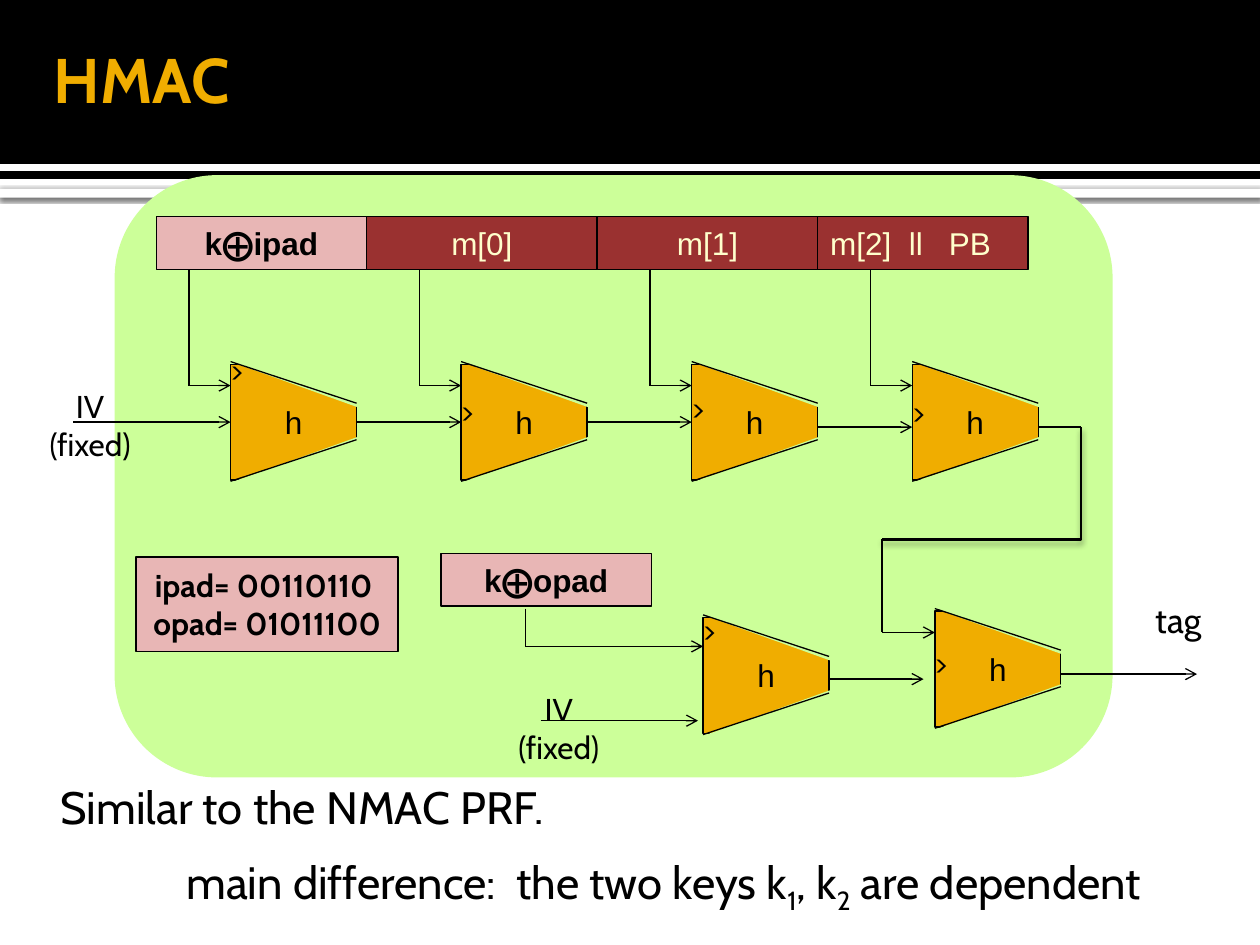
from lxml import etree
from pptx import Presentation
from pptx.dml.color import RGBColor
from pptx.enum.shapes import MSO_CONNECTOR as Link, MSO_SHAPE as Shape
from pptx.enum.text import MSO_ANCHOR as Anchor, PP_ALIGN as Align
from pptx.oxml.ns import qn
from pptx.util import Inches, Pt

BLACK, WHITE = "000000", "FFFFFF"
GOLD, GREEN, RED, PINK, CREAM = "F0AD00", "CCFF99", "9A3130", "E8B6B5", "FFFFCC"
LABEL = dict(name="Arial", size=Pt(18), bold=False)
KEY_LABEL = dict(LABEL, bold=True)
NOTE = dict(name="Cabin", size=Pt(18))
BODY = dict(name="Cabin", size=Pt(25.9))


def rgb(color):
    return RGBColor.from_string(color)


def set_effects(shape, shadow=None):
    """Replace theme effects; shadow is (alpha %, blur pt, distance pt), cast downwards."""
    effects = etree.SubElement(shape._element.spPr, qn("a:effectLst"))
    if shadow:
        alpha, blur, distance = shadow
        outer = etree.SubElement(effects, qn("a:outerShdw"), blurRad=str(Pt(blur)),
                                 dist=str(Pt(distance)), dir="5400000", rotWithShape="0")
        tint = etree.SubElement(outer, qn("a:srgbClr"), val=BLACK)
        etree.SubElement(tint, qn("a:alpha"), val=str(alpha * 1000))


def style_run(run, style, color=BLACK):
    for key, value in style.items():
        setattr(run.font, key, value)
    run.font.color.rgb = rgb(color)


def write(frame, lines, style, color=BLACK, align=Align.CENTER, **frame_format):
    for key, value in {"word_wrap": False, **frame_format}.items():
        setattr(frame, key, value)
    for index, line in enumerate(lines):
        paragraph = frame.paragraphs[0] if index == 0 else frame.add_paragraph()
        paragraph.alignment = align
        run = paragraph.add_run()
        run.text = line
        style_run(run, style, color)


def add_shape(slide, kind, box, fill, outline=None, shadow=None):
    shape = slide.shapes.add_shape(kind, *map(Inches, box))
    shape.fill.solid()
    shape.fill.fore_color.rgb = rgb(fill)
    if outline:
        shape.line.color.rgb = rgb(outline)
        shape.line.width = Pt(0.75)
    else:
        shape.line.fill.background()
    if shadow:
        set_effects(shape, shadow)
    else:
        shape.shadow.inherit = False
    return shape


def add_block(slide, box, fill, lines, style, color=BLACK, align=Align.CENTER):
    block = add_shape(slide, Shape.RECTANGLE, box, fill, BLACK)
    write(block.text_frame, lines, style, color, align, vertical_anchor=Anchor.MIDDLE)


def add_text(slide, box, lines, style, color=BLACK, align=Align.LEFT, **frame_format):
    text = slide.shapes.add_textbox(*map(Inches, box))
    write(text.text_frame, lines, style, color, align, **frame_format)
    return text.text_frame


def add_line(slide, start, end, arrow=False, color=BLACK, width=0.75,
             kind=Link.STRAIGHT, shadow=None):
    line = slide.shapes.add_connector(kind, *map(Inches, (*start, *end)))
    line.line.color.rgb = rgb(color)
    line.line.width = Pt(width)
    if arrow:
        etree.SubElement(line.line._get_or_add_ln(), qn("a:tailEnd"), type="arrow")
    set_effects(line, shadow)
    return line


def add_feed(slide, start, corner_y, end_x):
    """Line down from start, then an arrow to the right."""
    corner = (start[0], corner_y)
    add_line(slide, start, corner)
    add_line(slide, corner, (end_x, corner_y), arrow=True)


def add_hash(slide, x, y, mark_offset):
    """Compression function h: a square narrowed to the right by two wedges."""
    add_block(slide, (x, y, 1, 0.92), GOLD, ["h"], LABEL)
    for wedge_y, flips, edge in ((y - 0.02, ("flipH", "flipV"), (y - 0.02, y + 0.31)),
                                 (y + 0.52, ("flipH",), (y + 0.93, y + 0.6))):
        wedge = add_shape(slide, Shape.RIGHT_TRIANGLE, (x, wedge_y, 1.17, 0.42), GREEN)
        for flip in flips:
            wedge._element.spPr.xfrm.set(flip, "1")
        add_line(slide, (x, edge[0]), (x + 1, edge[1]))
    add_text(slide, (x - 0.1, y + mark_offset, 0.33, 0.4), [">"], NOTE)


def add_iv(slide, x, y, arrow_start, arrow_end):
    add_line(slide, arrow_start, arrow_end, arrow=True)
    add_text(slide, (x, y, 0.87, 0.71), ["IV", "(fixed)"], NOTE, align=Align.CENTER)


def add_header(slide):
    add_shape(slide, Shape.RECTANGLE, (0, 1.5, 10, 0.07), WHITE, shadow=(60, 2.5, 0.8))
    add_shape(slide, Shape.RECTANGLE, (0, 0, 10, 1.42), BLACK)
    add_line(slide, (0, 1.33), (10, 1.33), color=WHITE, width=4)
    add_text(slide, (0.33, 0.08, 8.25, 1.08), ["HMAC"],
             dict(name="Cabin", size=Pt(36), bold=True), GOLD,
             word_wrap=True, vertical_anchor=Anchor.MIDDLE, margin_right=Inches(0.05))


def add_remarks(slide):
    frame = add_text(slide, (0.42, 6.08, 9.25, 1.42), ["Similar to the NMAC PRF."], BODY,
                     word_wrap=True, margin_left=Inches(0.06), margin_top=Inches(0.1))
    difference = frame.add_paragraph()
    difference.space_before = Pt(11.8)
    difference._p.get_or_add_pPr().set("marL", str(Inches(1)))
    for text, subscript in (("main difference:  the two keys k", False), ("1", True),
                            (", k", False), ("2", True), (" are dependent", False)):
        run = difference.add_run()
        run.text = text
        style_run(run, BODY)
        if subscript:
            run.font._element.set("baseline", "-25000")


def add_inner_hash(slide):
    message_y, height, hash_y, feed_y = 1.72, 0.42, 2.89, 3.06
    for x, width, text, align in ((2.91, 1.83, "m[0]", Align.CENTER),
                                  (4.74, 1.75, "m[1]", Align.CENTER),
                                  (6.49, 1.67, "m[2]  ll   PB", Align.LEFT)):
        add_block(slide, (x, message_y, width, height), RED, [text], LABEL, CREAM, align)
    add_block(slide, (1.24, message_y, 1.67, height), PINK, ["k⨁ipad"], KEY_LABEL)

    hashes = ((1.83, -0.15), (3.66, 0.17), (5.49, 0.15), (7.24, 0.18))
    for x, mark_offset in hashes:
        add_hash(slide, x, hash_y, mark_offset)
        add_feed(slide, (x - 0.33, message_y + height), feed_y, x)
    for (x, _), (next_x, _), y in zip(hashes, hashes[1:], (3.35, 3.35, 3.39)):
        add_line(slide, (x + 1, y), (next_x, y), arrow=True)
    add_iv(slide, 0.28, 3.02, (0.58, 3.35), (1.83, 3.35))


def add_outer_hash(slide):
    add_block(slide, (3.5, 4.39, 1.67, 0.42), PINK, ["k⨁opad"], KEY_LABEL)
    add_hash(slide, 5.58, 4.9, -0.1)
    add_hash(slide, 7.42, 4.85, 0.21)
    add_feed(slide, (4.17, 4.83), 5.13, 5.58)
    add_iv(slide, 4, 5.43, (4.29, 5.72), (5.54, 5.72))
    add_line(slide, (6.58, 5.39), (7.33, 5.39), arrow=True)

    add_line(slide, (8.24, 3.39), (8.58, 3.39))
    elbow = add_line(slide, (8.58, 3.39), (7, 4.28), width=1.5,
                     kind=Link.ELBOW, shadow=(38, 3.5, 2))
    guides = elbow._element.spPr.find(qn("a:prstGeom")).find(qn("a:avLst"))
    etree.SubElement(guides, qn("a:gd"), name="adj1", fmla="val 0")
    add_feed(slide, (7, 4.28), 5.02, 7.42)

    add_line(slide, (8.42, 5.35), (9.5, 5.35), arrow=True)
    add_text(slide, (9.07, 4.7, 0.59, 0.44), ["tag"], dict(name="Cabin", size=Pt(20)))


def main():
    deck = Presentation()
    deck.slide_width, deck.slide_height = Inches(10), Inches(7.5)
    slide = deck.slides.add_slide(deck.slide_layouts[6])
    add_header(slide)
    add_remarks(slide)
    panel = add_shape(slide, Shape.ROUNDED_RECTANGLE, (0.91, 1.39, 7.92, 4.78), GREEN)
    panel.adjustments[0] = 0.17
    add_inner_hash(slide)
    add_outer_hash(slide)
    add_block(slide, (1.08, 4.42, 2.08, 0.75), PINK,
              ["ipad= 00110110 ", "opad= 01011100"], dict(NOTE, bold=True))
    deck.save("out.pptx")


if __name__ == "__main__":
    main()
